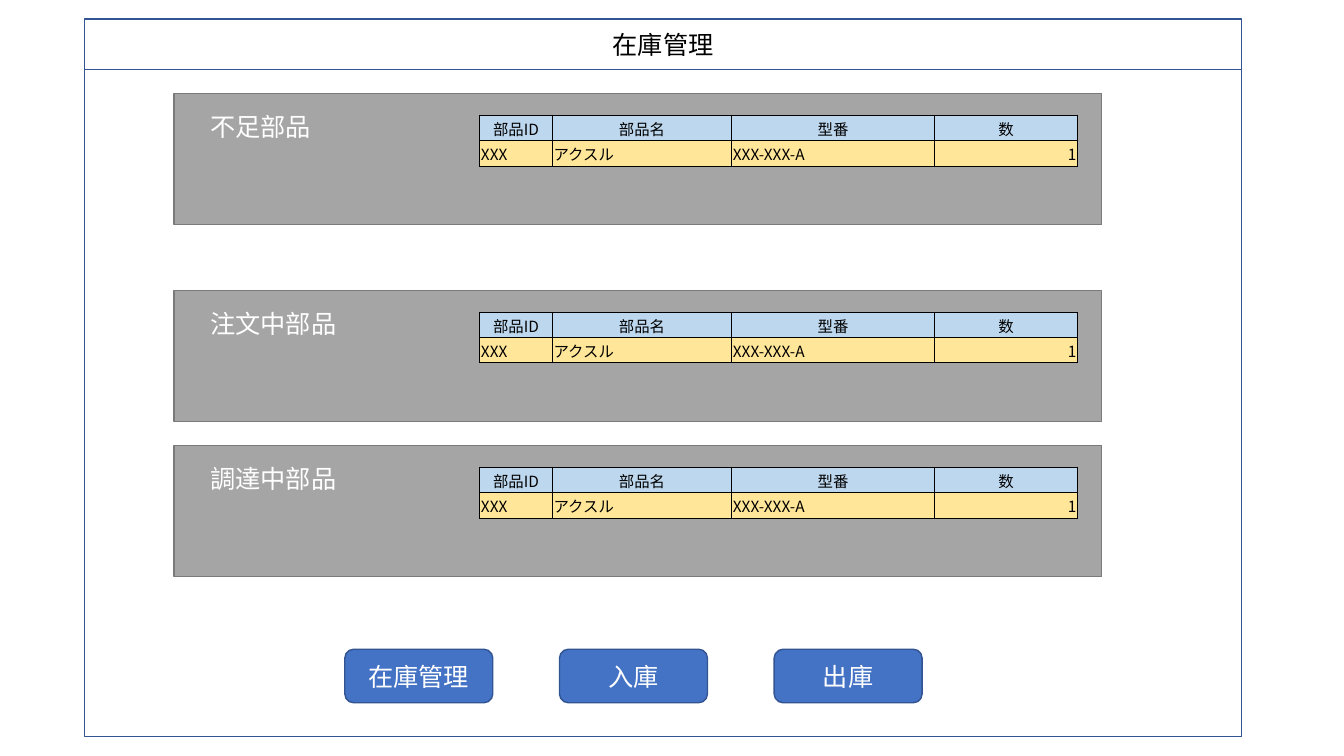
from lxml import etree
from pptx import Presentation
from pptx import util as u
from pptx.dml.color import RGBColor
from pptx.enum import shapes, text
from pptx.oxml import ns

HUES = {
    "black": "000000", "white": "FFFFFF", "navy": "325491", "blue": "4472C4",
    "grey": "A5A5A5", "edge": "7A7A7A", "head": "BDD7EE", "body": "FFE699",
}
LEFT = text.PP_ALIGN.LEFT
MID = text.PP_ALIGN.CENTER
RIGHT = text.PP_ALIGN.RIGHT
KIND = shapes.MSO_SHAPE


class Screen:
    font = "Noto Sans CJK JP"
    size = 18

    def __init__(self, slide):
        self.slide = slide

    def hue(self, name):
        return RGBColor.from_string(HUES[name])

    def box(self, spot):
        return [u.Cm(n) for n in spot]

    def letter(self, frame, words, hue, align, size=None):
        frame.text = words
        para = frame.paragraphs[0]
        para.alignment = align
        for run in para.runs:
            font = run.font
            font.name = self.font
            font.size = u.Pt(size or self.size)
            font.bold = False
            font.color.rgb = self.hue(hue)
            east = etree.SubElement(font._element, ns.qn("a:ea"))
            east.set("typeface", self.font)

    def paint(self, shape, fill, line):
        if fill:
            shape.fill.solid()
            shape.fill.fore_color.rgb = self.hue(fill)
        else:
            shape.fill.background()
        shape.line.color.rgb = self.hue(line)
        shape.line.width = u.Pt(1)

    def title(self, words, spot):
        shape = self.slide.shapes.title
        shape.left, shape.top, shape.width, shape.height = self.box(spot)
        self.paint(shape, None, "navy")
        shape.text_frame.vertical_anchor = text.MSO_ANCHOR.MIDDLE
        self.letter(shape.text_frame, words, "black", MID)

    def shape(self, kind, spot, fill, line, words=None):
        shape = self.slide.shapes.add_shape(kind, *self.box(spot))
        shape.shadow.inherit = False
        self.paint(shape, fill, line)
        if words:
            self.letter(shape.text_frame, words, "white", MID)

    def label(self, words, spot):
        frame = self.slide.shapes.add_textbox(*self.box(spot)).text_frame
        frame.word_wrap = True
        self.letter(frame, words, "white", LEFT)

    def border(self, cell):
        props = cell._tc.get_or_add_tcPr()
        for side in ("lnL", "lnR", "lnT", "lnB"):
            line = etree.SubElement(props, ns.qn("a:" + side), w=str(u.Pt(0.5)))
            fill = etree.SubElement(line, ns.qn("a:solidFill"))
            etree.SubElement(fill, ns.qn("a:srgbClr"), val=HUES["black"])

    def table(self, left, top, wides, high, rows):
        spot = self.box((left, top, sum(wides), high * len(rows)))
        grid = self.slide.shapes.add_table(len(rows), len(wides), *spot).table
        grid.horz_banding = False
        for col, wide in zip(grid.columns, wides):
            col.width = u.Cm(wide)
        for row, (fill, aligns, words) in zip(grid.rows, rows):
            row.height = u.Cm(high)
            for cell, align, word in zip(row.cells, aligns, words):
                self.border(cell)
                cell.fill.solid()
                cell.fill.fore_color.rgb = self.hue(fill)
                cell.margin_left = cell.margin_right = cell.margin_top = u.Cm(0.03)
                cell.margin_bottom = 0
                cell.vertical_anchor = text.MSO_ANCHOR.MIDDLE
                self.letter(cell.text_frame, word, "black", align, 11)


def main():
    deck = Presentation()
    deck.slide_width, deck.slide_height = u.Cm(33.87), u.Cm(19.05)
    page = Screen(deck.slides.add_slide(deck.slide_layouts[5]))
    page.title("在庫管理", (2.13, 0.48, 29.16, 1.27))

    parts = [
        ("head", [MID] * 4, ["部品ID", "部品名", "型番", "数"]),
        ("body", [LEFT] * 3 + [RIGHT], ["XXX", "アクスル", "XXX-XXX-A", "1"]),
    ]
    panels = [("不足部品", 2.36), ("注文中部品", 7.32), ("調達中部品", 11.23)]
    for name, top in panels:
        page.shape(KIND.RECTANGLE, (4.39, top, 23.37, 3.3), "grey", "edge")
        page.label(name, (5.05, top + 0.33, 4.39, 1.02))
        page.table(12.09, top + 0.54, (1.83, 4.52, 5.11, 3.61), 0.64, parts)

    for i, name in enumerate(["在庫管理", "入庫", "出庫"]):
        spot = (8.69 + 5.41 * i, 16.36, 3.73, 1.35)
        page.shape(KIND.FLOWCHART_ALTERNATE_PROCESS, spot, "blue", "navy", name)

    page.shape(KIND.RECTANGLE, (2.13, 1.75, 29.16, 16.81), None, "navy")
    deck.save("out.pptx")


if __name__ == "__main__":
    main()
